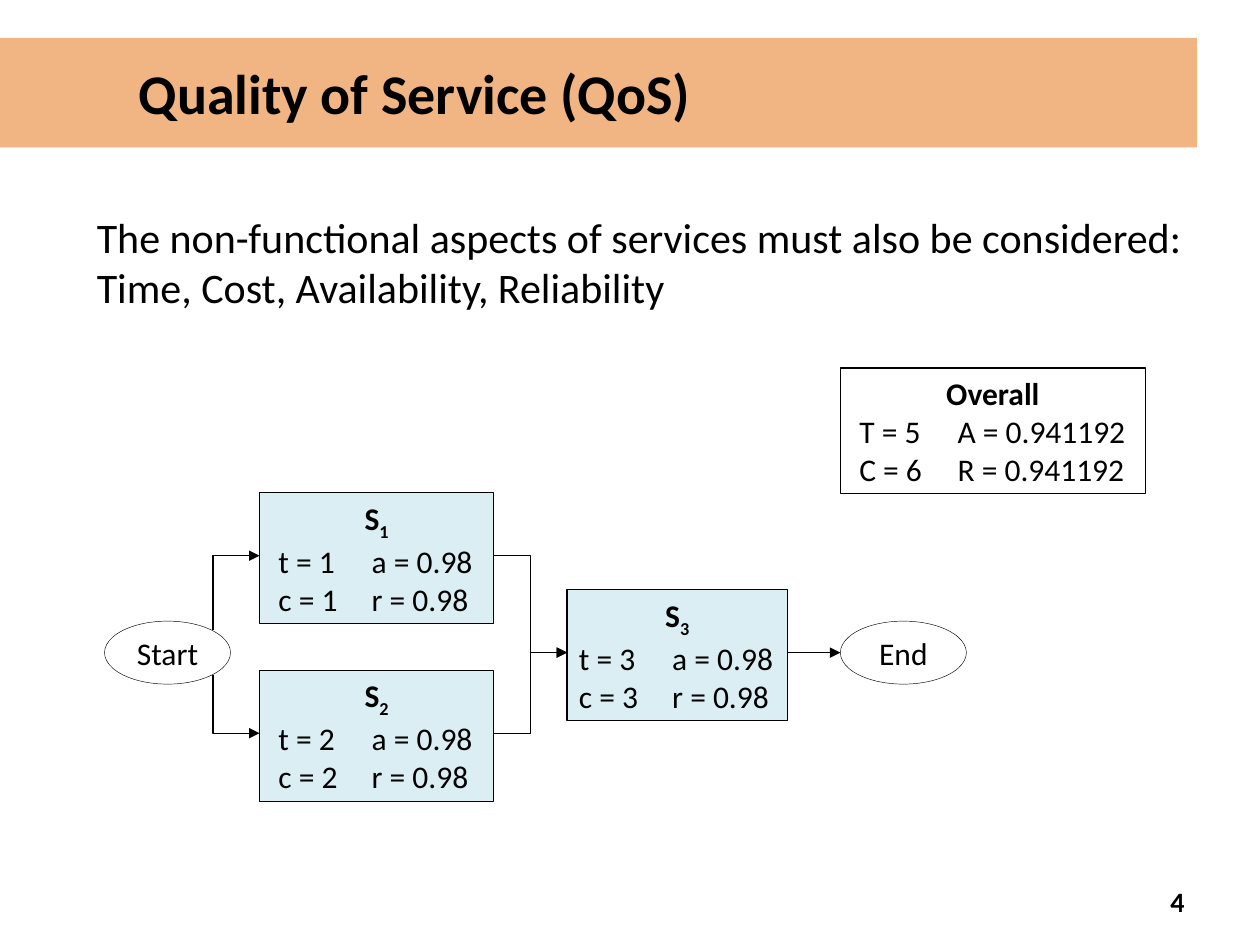
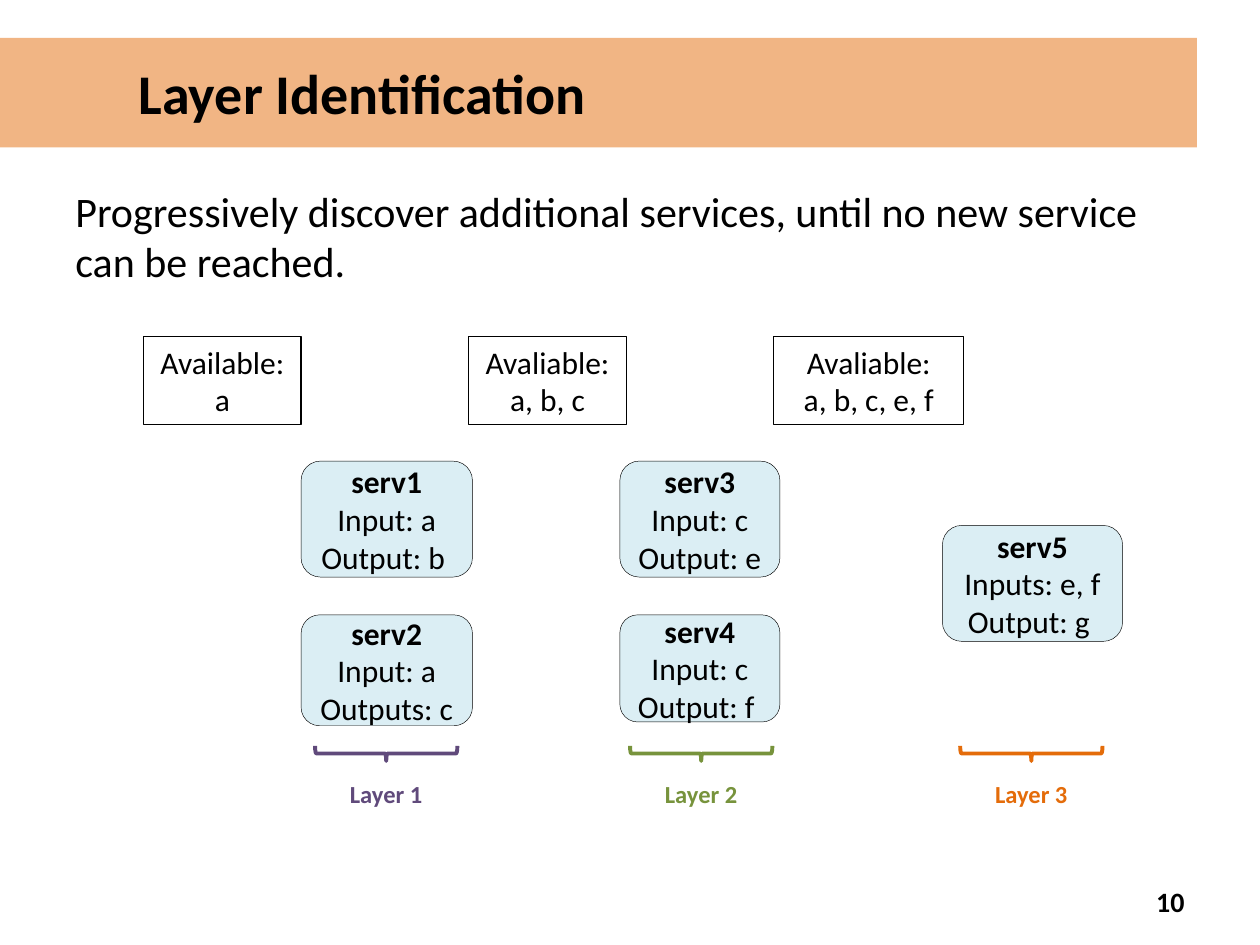
from lxml import etree
from pptx import Presentation
from pptx.dml.color import RGBColor
from pptx.enum import shapes, text
from pptx.oxml.ns import qn
from pptx.util import Inches, Pt

FONT = "Calibri"
BLACK, WHITE, ORANGE, PALE_BLUE = "000000", "FFFFFF", "E46C0A", "DBEEF4"
CENTER, LEFT, RIGHT = text.PP_ALIGN.CENTER, text.PP_ALIGN.LEFT, text.PP_ALIGN.RIGHT
TOP, MIDDLE = text.MSO_ANCHOR.TOP, text.MSO_ANCHOR.MIDDLE
RECT, OVAL, ROUNDED, BRACE = (
    shapes.MSO_SHAPE.RECTANGLE, shapes.MSO_SHAPE.OVAL,
    shapes.MSO_SHAPE.ROUNDED_RECTANGLE, shapes.MSO_SHAPE.RIGHT_BRACE)

QOS = {
    "title": "Quality of Service (QoS)",
    "number": "4",
    "intro": "The non-functional aspects of services must also be considered: "
             "Time, Cost, Availability, Reliability",
    "intro_at": (0.67, 1.63, 8.83, 0.9),
    # number, position, value of both time and cost
    "services": [("1", (2.06, 3.91, 1.86, 1.04)),
                 ("2", (2.06, 5.32, 1.86, 1.04)),
                 ("3", (4.5, 4.68, 1.75, 1.04))],
    "quality": "0.98",
    "overall": [("T = 5", "A = 0.941192"), ("C = 6", "R = 0.941192")],
    "overall_at": (6.67, 2.92, 2.42, 1),
    "ends": [("Start", 0.83), ("End", 6.67)],
}
LAYERS = {
    "title": "Layer Identification",
    "number": "10",
    "intro": "Progressively discover additional services, "
             "until no new service can be reached.",
    "intro_at": (0.5, 1.42, 9, 0.92),
    "available": [(["Available: a"], 1.14, 1.25),
                  (["Avaliable: a, b, c"], 3.72, 1.25),
                  (["Avaliable:", "a, b, c, e, f"], 6.14, 1.51)],
    "services": [("serv1", "Input: a", "Output: b ", (2.39, 3.66, 1.36, 0.92)),
                 ("serv2", "Input: a", "Outputs: c ", (2.39, 4.88, 1.36, 0.88)),
                 ("serv3", "Input: c", "Output: e ", (4.92, 3.66, 1.27, 0.92)),
                 ("serv4", "Input: c", "Output: f ", (4.92, 4.88, 1.27, 0.85)),
                 ("serv5", "Inputs: e, f", "Output: g ", (7.48, 4.17, 1.43, 0.92))],
    "layers": [("Layer 1", 2.5, "604A7B"),
               ("Layer 2", 5, "77933C"),
               ("Layer 3", 7.62, ORANGE)],
}


def rgb(value):
    return RGBColor.from_string(value)


def inches(values):
    return [Inches(value) for value in values]


def write(shape, paragraphs, size=18, color=BLACK, align=CENTER, anchor=TOP,
          inset=0.1, tab=None):
    """Fill a shape; a paragraph is a list of (words, bold, subscript) runs.

    With a tab, paragraphs after the heading are left-aligned in two columns.
    """
    frame = shape.text_frame
    frame.word_wrap = True
    frame.auto_size = text.MSO_AUTO_SIZE.NONE
    frame.vertical_anchor = anchor
    frame.margin_left = frame.margin_right = Inches(inset)
    frame.margin_top = frame.margin_bottom = Inches(0.05)
    for index, runs in enumerate(paragraphs):
        paragraph = frame.paragraphs[0] if index == 0 else frame.add_paragraph()
        paragraph.alignment = align
        if tab and index:
            paragraph.alignment = LEFT
            stops = etree.SubElement(paragraph._p.get_or_add_pPr(), qn("a:tabLst"))
            etree.SubElement(stops, qn("a:tab"), pos=str(Inches(tab)), algn="l")
        for words, bold, subscript in runs:
            run = paragraph.add_run()
            run.text = words
            run.font.name, run.font.size, run.font.bold = FONT, Pt(size), bold
            run.font.color.rgb = rgb(color)
            if subscript:
                run._r.get_or_add_rPr().set("baseline", "-25000")


def plain(words):
    return [(words, False, False)]


def strong(words):
    return [(words, True, False)]


def add_box(slide, kind, at, fill=WHITE, width=0.75, line=BLACK):
    box = slide.shapes.add_shape(kind, *inches(at))
    box.shadow.inherit = False
    if fill:
        box.fill.solid()
        box.fill.fore_color.rgb = rgb(fill)
    else:
        box.fill.background()
    box.line.color.rgb = rgb(line)
    box.line.width = Pt(width)
    return box


def add_label(slide, at, runs, **style):
    write(slide.shapes.add_textbox(*inches(at)), [runs], **style)


def add_arrow(slide, kind, start, end, head="a:tailEnd"):
    arrow = slide.shapes.add_connector(kind, *inches(start + end))
    arrow.line.color.rgb = rgb(BLACK)
    arrow.line.width = Pt(0.75)
    etree.SubElement(arrow.line._get_or_add_ln(), qn(head), type="triangle")
    etree.SubElement(arrow._element.spPr, qn("a:effectLst"))
    return arrow


def add_corner_arrow(slide, tip, foot):
    """Arrow that leaves the foot vertically and reaches the tip sideways."""
    arrow = add_arrow(slide, shapes.MSO_CONNECTOR.ELBOW, tip, foot, "a:headEnd")
    arrow._element.spPr.find(qn("a:prstGeom")).set("prst", "bentConnector2")


def add_slide(deck, content):
    slide = deck.slides.add_slide(deck.slide_layouts[5])
    title = slide.shapes.title
    title.left, title.top, title.width, title.height = inches((0, 0.3, 9.5, 0.87))
    title.fill.solid()
    title.fill.fore_color.rgb = rgb(ORANGE)
    band = title._element.spPr.find(qn("a:solidFill"))
    etree.SubElement(band[0], qn("a:alpha"), val="50000")
    write(title, [strong(content["title"])], size=32, align=LEFT, anchor=MIDDLE)
    title.text_frame.margin_left = Inches(1.1)
    add_label(slide, (7.17, 6.95, 2.33, 0.4), strong(content["number"]),
              size=16, align=RIGHT, anchor=MIDDLE)
    add_label(slide, content["intro_at"], plain(content["intro"]),
              size=24, align=LEFT)
    return slide


def add_scores(slide, at, heading, rows, rows_width, tab, fill=WHITE):
    box = add_box(slide, RECT, at, fill)
    write(box, [heading] + [plain("\t".join(row)) for row in rows],
          inset=(at[2] - rows_width) / 2, tab=tab)


def build_qos(deck):
    slide = add_slide(deck, QOS)
    axis, port = 5.18, 0.5
    for name, left in QOS["ends"]:
        end = add_box(slide, OVAL, (left, axis - 0.25, 1, 0.5), width=0.25)
        write(end, [plain(name)], anchor=MIDDLE)
    for number, at in QOS["services"]:
        rows = [(f"{cost} = {number}", f"{rate} = {QOS['quality']}")
                for cost, rate in ("ta", "cr")]
        heading = [("S", True, False), (number, True, True)]
        add_scores(slide, at, heading, rows, 1.56, 0.74, PALE_BLUE)
    add_scores(slide, QOS["overall_at"], strong("Overall"), QOS["overall"], 2.12, 0.78)

    *parallel, (_, last) = QOS["services"]
    for (_, (left, top, width, _)), foot in zip(parallel, (5, 5.36)):
        middle = top + port
        add_corner_arrow(slide, (left, middle), (1.69, foot))
        add_arrow(slide, shapes.MSO_CONNECTOR.ELBOW,
                  (left + width, middle), (last[0], axis))
    add_arrow(slide, shapes.MSO_CONNECTOR.STRAIGHT,
              (last[0] + last[2], axis), (QOS["ends"][1][1], axis))


def build_layers(deck):
    slide = add_slide(deck, LAYERS)
    for lines, left, width in LAYERS["available"]:
        box = add_box(slide, RECT, (left, 2.67, width, 0.7))
        write(box, [plain(line) for line in lines])
    for name, needs, gives, at in LAYERS["services"]:
        box = add_box(slide, ROUNDED, at, PALE_BLUE, 0.25)
        write(box, [strong(name), plain(needs), plain(gives)], anchor=MIDDLE)
    span, depth, middle = 1.13, 0.12, 5.98
    for name, left, color in LAYERS["layers"]:
        upright = (left + (span - depth) / 2, middle - span / 2, depth, span)
        add_box(slide, BRACE, upright, None, 2.25, color).rotation = 90
        add_label(slide, (left, 6.13, span, 0.34), strong(name), size=14, color=color)


def main():
    deck = Presentation()
    deck.slide_width, deck.slide_height = inches((10, 7.5))
    build_qos(deck)
    build_layers(deck)
    deck.save("out.pptx")


if __name__ == "__main__":
    main()
